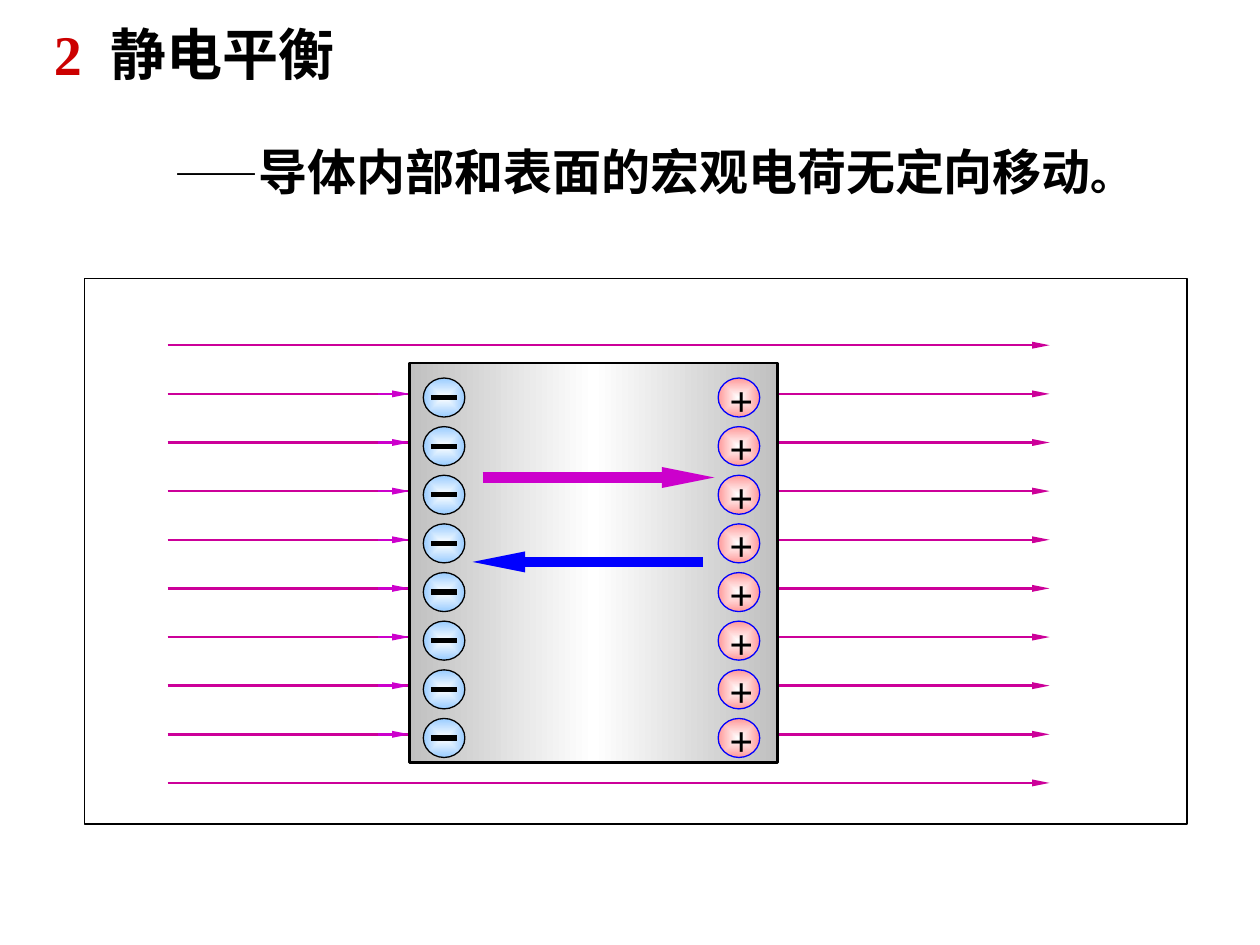
from dataclasses import dataclass

from lxml import etree
from pptx import Presentation
from pptx import util as u
from pptx.dml.color import RGBColor
from pptx.enum import shapes, text
from pptx.oxml import ns


@dataclass(frozen=True)
class Theme:
    black: str = "000000"
    white: str = "FFFFFF"
    number: str = "CC0000"
    field: str = "CC0099"
    outer_field: str = "CC00CC"
    induced_field: str = "0000FF"
    metal: str = "C0C0C0"
    negative: str = "99CCFF"
    positive: str = "FF9999"
    latin: str = "Times New Roman"
    chinese: str = "Noto Sans CJK SC"
    title_size: int = 32
    body_size: int = 28
    small_size: int = 24


THEME = Theme()
FIELD_ROWS = 10
ROW_STEP = 0.386
FIELD_TOP = 2.74


def add_gradient(shape, colors, radial=False):
    """Fill with evenly spaced colours, left to right or from the centre out."""
    properties = shape._element.spPr
    gradient = etree.Element(ns.qn("a:gradFill"), rotWithShape="1")
    stops = etree.SubElement(gradient, ns.qn("a:gsLst"))
    for index, color in enumerate(colors):
        position = str(100000 * index // (len(colors) - 1))
        stop = etree.SubElement(stops, ns.qn("a:gs"), pos=position)
        etree.SubElement(stop, ns.qn("a:srgbClr"), val=color)
    if radial:
        focus = etree.SubElement(gradient, ns.qn("a:path"), attrib={"path": "shape"})
        etree.SubElement(focus, ns.qn("a:fillToRect"),
                         l="50000", t="50000", r="50000", b="50000")
    else:
        etree.SubElement(gradient, ns.qn("a:lin"), ang="0", scaled="1")
    properties.find(ns.qn("a:prstGeom")).addnext(gradient)


def add_outlined(parent, kind, left, top, width, height, line=THEME.black, weight=0.75):
    shape = parent.add_shape(kind, u.Inches(left), u.Inches(top),
                             u.Inches(width), u.Inches(height))
    shape.shadow.inherit = False
    shape.line.color.rgb = RGBColor.from_string(line)
    shape.line.width = u.Pt(weight)
    return shape


def add_line(parent, start, end, y, color, weight, arrow=True):
    line = parent.add_connector(shapes.MSO_CONNECTOR.STRAIGHT, u.Inches(start),
                                u.Inches(y), u.Inches(end), u.Inches(y))
    line.line.color.rgb = RGBColor.from_string(color)
    line.line.width = u.Pt(weight)
    if arrow:
        etree.SubElement(line.line._get_or_add_ln(), ns.qn("a:tailEnd"),
                         type="triangle", w="sm", len="lg")
    etree.SubElement(line._element.spPr, ns.qn("a:effectLst"))


def add_text(parent, left, top, width, height, wrap=True, line_spacing=None):
    """Add an empty text box and return its paragraph."""
    box = parent.add_textbox(u.Inches(left), u.Inches(top),
                             u.Inches(width), u.Inches(height))
    box.text_frame.word_wrap = wrap
    box.text_frame.auto_size = text.MSO_AUTO_SIZE.NONE
    paragraph = box.text_frame.paragraphs[0]
    paragraph.line_spacing = line_spacing
    return paragraph


def add_run(paragraph, words, size, font=THEME.chinese, color=THEME.black, spacing=0):
    run = paragraph.add_run()
    run.text = words
    run.font.size = u.Pt(size)
    run.font.bold = True
    run.font.color.rgb = RGBColor.from_string(color)
    run.font.name = font
    properties = run.font._element
    if spacing:
        properties.set("spc", str(spacing * 100))
    east_asian = etree.Element(ns.qn("a:ea"), typeface=font)
    properties.find(ns.qn("a:latin")).addnext(east_asian)


def add_charge(slide, left, top, color, line):
    """Add a group with a shaded circle and return its shapes."""
    members = slide.shapes.add_group_shape().shapes
    circle = add_outlined(members, shapes.MSO_SHAPE.OVAL, left, top, 0.33, 0.31, line)
    add_gradient(circle, [THEME.white, color], radial=True)
    return members


def add_negative_charge(slide, top):
    members = add_charge(slide, 3.36, top, THEME.negative, THEME.black)
    add_line(members, 3.42, 3.63, top + 0.155, THEME.black, 3, arrow=False)


def add_positive_charge(slide, top):
    members = add_charge(slide, 5.7, top, THEME.positive, THEME.induced_field)
    paragraph = add_text(members, 5.69, top - 0.08, 0.39, 0.5, wrap=False)
    add_run(paragraph, "+", THEME.small_size, font=THEME.latin)


def add_field(slide):
    rows = [FIELD_TOP + ROW_STEP * row for row in range(FIELD_ROWS)]
    for y in rows:
        add_line(slide.shapes, 1.33, 8.33, y, THEME.field, 1.4)
    for y in rows[1:-1]:
        add_line(slide.shapes, 3, 3.25, y, THEME.outer_field, 1.4)


def add_conductor(slide):
    conductor = add_outlined(slide.shapes, shapes.MSO_SHAPE.RECTANGLE,
                             3.25, 2.88, 2.92, 3.17, weight=1.5)
    add_gradient(conductor, [THEME.metal, THEME.white, THEME.metal])
    for row in range(FIELD_ROWS - 2):
        top = 3 + ROW_STEP * row
        add_negative_charge(slide, top)
        add_positive_charge(slide, top)
    add_line(slide.shapes, 5.58, 3.75, 4.46, THEME.induced_field, 6)
    add_line(slide.shapes, 3.83, 5.67, 3.79, THEME.outer_field, 6)


def add_headings(slide):
    title = add_text(slide.shapes, 0.33, 0.11, 3.75, 0.63)
    add_run(title, "2 ", THEME.title_size, font=THEME.latin,
            color=THEME.number, spacing=4)
    add_run(title, "静电平衡", THEME.title_size)
    definition = add_text(slide.shapes, 1.29, 0.98, 8.58, 0.6, line_spacing=1.2)
    add_run(definition, "——", THEME.small_size)
    add_run(definition, "导体内部和表面的宏观电荷无定向移动", THEME.body_size)
    add_run(definition, "。", THEME.small_size)


def main():
    presentation = Presentation()
    presentation.slide_width = u.Inches(10)
    presentation.slide_height = u.Inches(7.5)
    slide = presentation.slides.add_slide(presentation.slide_layouts[6])
    frame = add_outlined(slide.shapes, shapes.MSO_SHAPE.RECTANGLE, 0.67, 2.21, 8.75, 4.33)
    frame.fill.solid()
    frame.fill.fore_color.rgb = RGBColor.from_string(THEME.white)
    add_field(slide)
    add_conductor(slide)
    add_headings(slide)
    presentation.save("out.pptx")


if __name__ == "__main__":
    main()
